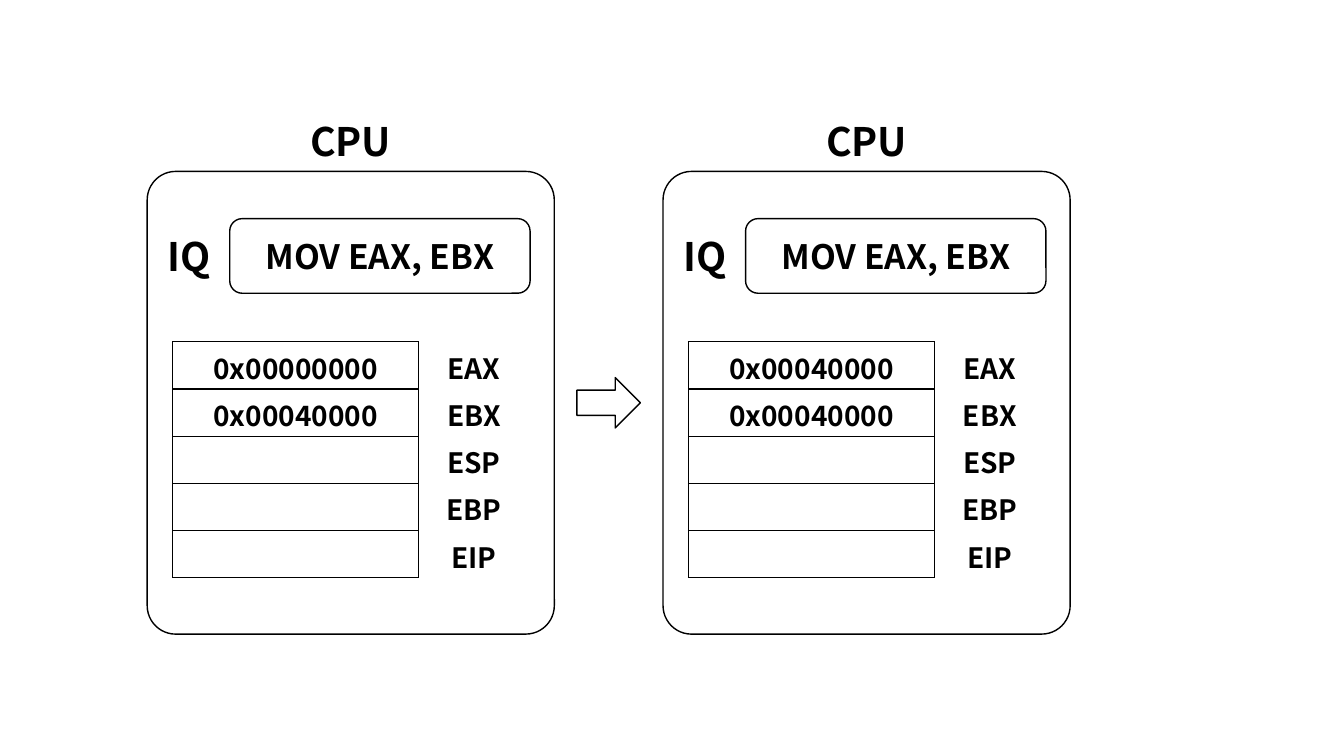
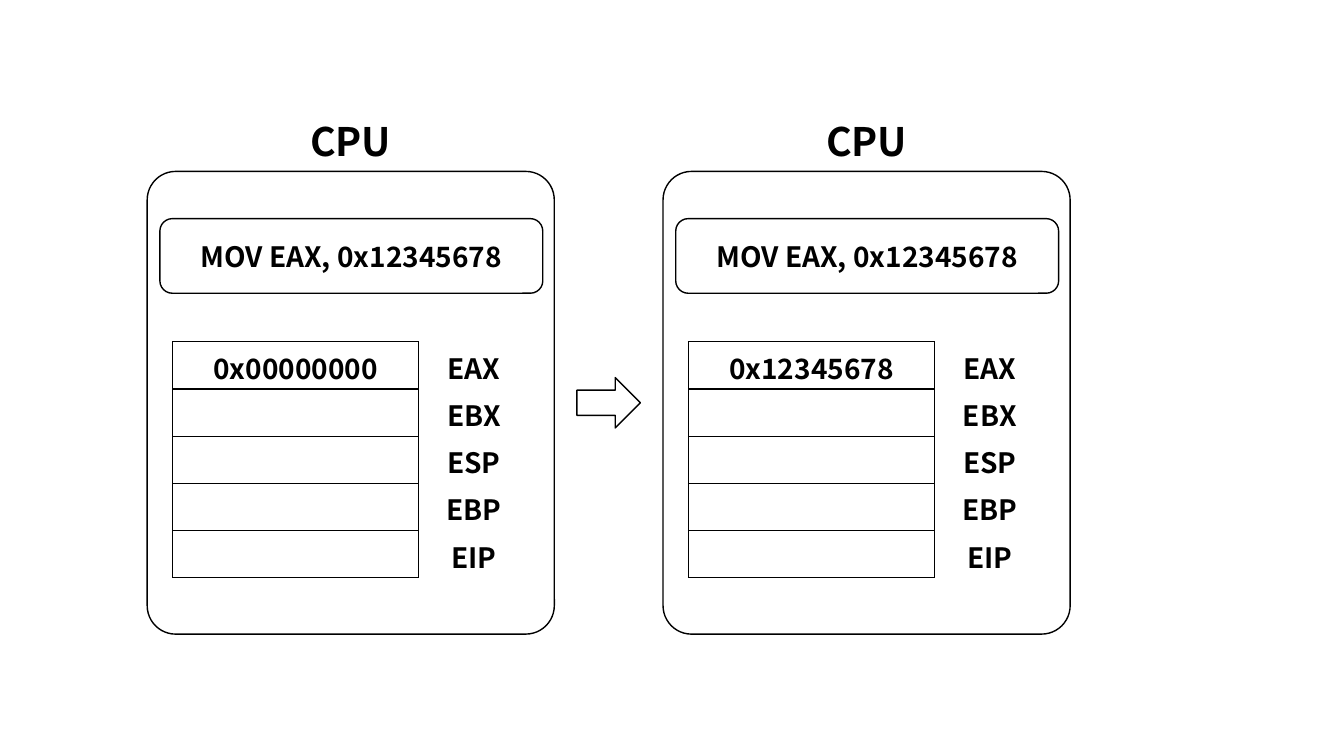
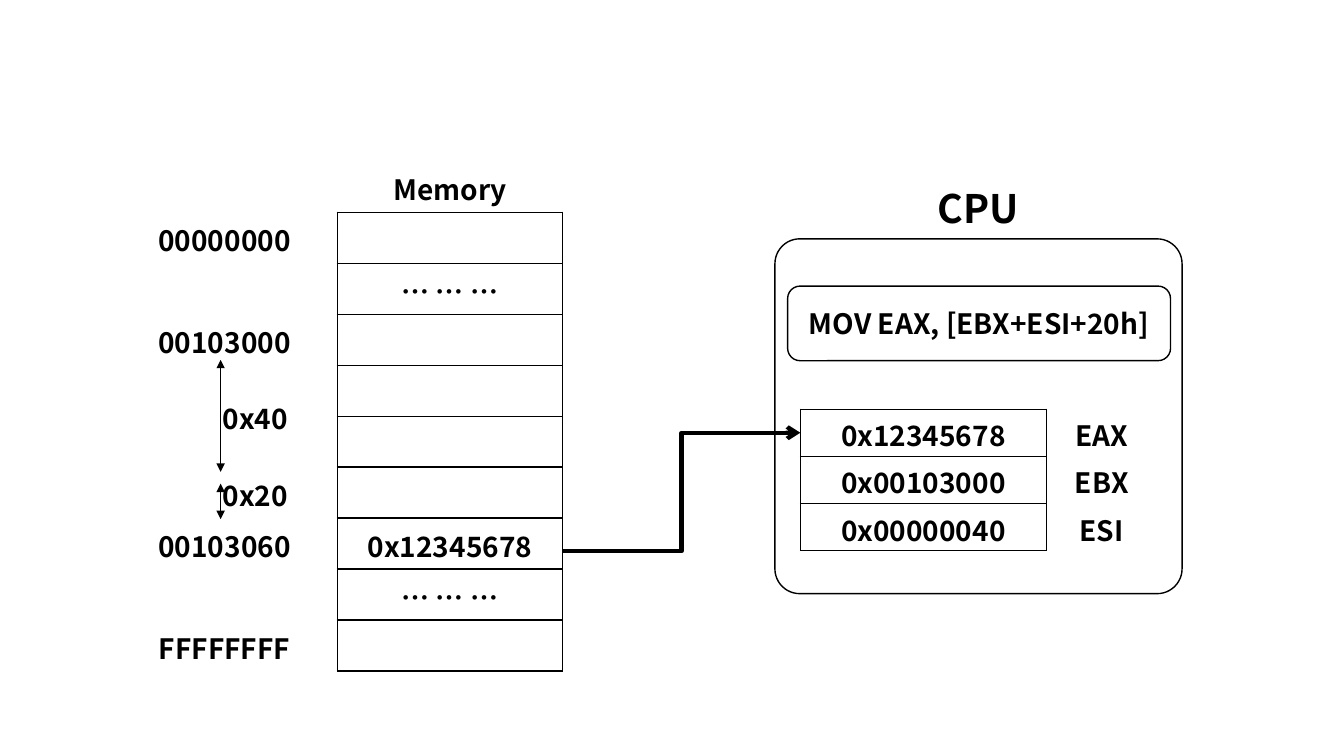
import dataclasses
import lxml.etree
import pptx
import pptx.dml.color
import pptx.enum.shapes
import pptx.enum.text
import pptx.oxml.ns
import pptx.util
from pptx.util import Cm, Pt

SHAPE = pptx.enum.shapes.MSO_SHAPE
CONNECTOR = pptx.enum.shapes.MSO_CONNECTOR
ALIGN = pptx.enum.text.PP_ALIGN
ANCHOR = pptx.enum.text.MSO_ANCHOR
qn = pptx.oxml.ns.qn


@dataclasses.dataclass(frozen=True)
class Theme:
    ink: pptx.dml.color.RGBColor = pptx.dml.color.RGBColor(0, 0, 0)
    paper: pptx.dml.color.RGBColor = pptx.dml.color.RGBColor(255, 255, 255)
    font: str = "Noto Sans CJK KR"
    caption: int = Pt(28)
    instruction: int = Pt(24)
    body: int = Pt(20)
    thin: int = Pt(1)
    thick: int = Pt(3)


THEME = Theme()
REGISTERS = ["EAX", "EBX", "ESP", "EBP", "EIP"]
ELLIPSIS = "… … …"

# Panel geometry, relative to the panel's top left corner
PANEL_WIDTH = Cm(10.26)
REGISTERS_LEFT, REGISTERS_TOP = Cm(0.64), Cm(4.29)
REGISTER_ROW = Cm(1.19)


# Text and outlines
def write(frame, text, size):
    paragraph = frame.paragraphs[0]
    paragraph.text = text
    paragraph.alignment = ALIGN.CENTER
    font = paragraph.font
    font.size, font.bold, font.name = size, True, THEME.font
    font.color.rgb = THEME.ink
    defaults = paragraph._p.pPr.find(qn("a:defRPr"))
    lxml.etree.SubElement(defaults, qn("a:ea"), typeface=THEME.font)


def add_label(slide, left, top, width, text):
    frame = slide.shapes.add_textbox(left, top, width, Cm(1.45)).text_frame
    frame.word_wrap = True
    frame.vertical_anchor = ANCHOR.MIDDLE
    write(frame, text, THEME.caption)


def add_outline(slide, kind, left, top, width, height):
    outline = slide.shapes.add_shape(kind, left, top, width, height)
    outline.shadow.inherit = False
    outline.fill.solid()
    outline.fill.fore_color.rgb = THEME.paper
    outline.line.color.rgb = THEME.ink
    outline.line.width = THEME.thin
    return outline


def add_arrow(slide, kind, start, end, width, **heads):
    arrow = slide.shapes.add_connector(kind, *start, *end)
    arrow.line.color.rgb = THEME.ink
    arrow.line.width = width
    line = arrow.line._get_or_add_ln()
    for name in ("headEnd", "tailEnd"):
        if name in heads:
            lxml.etree.SubElement(line, qn(f"a:{name}"), type=heads[name])
    lxml.etree.SubElement(arrow._element.spPr, qn("a:effectLst"))


# Tables: an edge is drawn when a boxed cell lies on either side of it
def set_border(cell, side, drawn):
    edge = lxml.etree.SubElement(cell._tc.get_or_add_tcPr(), qn(f"a:ln{side}"),
                                 w=str(THEME.thin))
    if drawn:
        fill = lxml.etree.SubElement(edge, qn("a:solidFill"))
        lxml.etree.SubElement(fill, qn("a:srgbClr"), val=str(THEME.ink))
    else:
        lxml.etree.SubElement(edge, qn("a:noFill"))


def add_grid(slide, left, top, widths, row_height, rows, boxed):
    table = slide.shapes.add_table(len(rows), len(widths), left, top,
                                   sum(widths), row_height * len(rows)).table
    table.first_row = table.horz_banding = False
    for column, width in zip(table.columns, widths):
        column.width = width
    for r, texts in enumerate(rows):
        table.rows[r].height = row_height
        for c, text in enumerate(texts):
            cell = table.cell(r, c)
            neighbours = {"L": (r, c - 1), "R": (r, c + 1),
                          "T": (r - 1, c), "B": (r + 1, c)}
            for side, place in neighbours.items():
                set_border(cell, side, (r, c) in boxed or place in boxed)
            cell.fill.background()
            cell.vertical_anchor = ANCHOR.MIDDLE
            cell.margin_top, cell.margin_bottom = Cm(0.1), Cm(0.02)
            if text:
                write(cell.text_frame, text, THEME.body)
    return table


# CPU panel: caption, instruction and registers
def add_cpu(slide, left, top, height, instruction, registers, queue=False):
    panel = add_outline(slide, SHAPE.ROUNDED_RECTANGLE, left, top,
                        PANEL_WIDTH, height)
    panel.adjustments[0] = 0.07
    add_label(slide, left, top - Cm(1.5), PANEL_WIDTH, "CPU")

    inset, width, size = ((Cm(2.08), Cm(7.57), THEME.instruction) if queue
                          else (Cm(0.32), Cm(9.65), THEME.body))
    command = add_outline(slide, SHAPE.ROUNDED_RECTANGLE, left + inset,
                          top + Cm(1.19), width, Cm(1.88))
    command.text_frame.vertical_anchor = ANCHOR.MIDDLE
    write(command.text_frame, instruction, size)
    if queue:
        add_label(slide, left - Cm(0.41), top + Cm(1.4), Cm(2.92), "IQ")

    add_grid(slide, left + REGISTERS_LEFT, top + REGISTERS_TOP,
             [Cm(6.2), Cm(2.79)], REGISTER_ROW, registers,
             {(r, 0) for r in range(len(registers))})


# Slide type: CPU before and after one instruction
def add_step_slide(deck, instruction, before, after, queue=False):
    slide = deck.slides.add_slide(deck.slide_layouts[6])
    left, top, height, pitch = Cm(3.71), Cm(4.32), Cm(11.66), Cm(13)
    for i, values in enumerate((before, after)):
        padded = values + [""] * (len(REGISTERS) - len(values))
        add_cpu(slide, left + i * pitch, top, height, instruction,
                list(zip(padded, REGISTERS)), queue)
    # Arrow centred in the gap between the panels
    width, depth = Cm(1.6), Cm(1.27)
    add_outline(slide, SHAPE.RIGHT_ARROW,
                left + (PANEL_WIDTH + pitch - width) // 2,
                top + (height - depth) // 2, width, depth)


# Memory map with its address offsets
def add_memory(slide, left, top, column, row):
    rows = [("", "Memory"), ("00000000", ""), ("", ELLIPSIS),
            ("00103000", ""), ("0x40", ""), ("", ""), ("0x20", ""),
            ("00103060", "0x12345678"), ("", ELLIPSIS), ("FFFFFFFF", "")]
    table = add_grid(slide, left, top, [column, column], row, rows,
                     {(r, 1) for r in range(1, len(rows))})
    table.cell(4, 0).merge(table.cell(5, 0))
    for r in (4, 6):
        table.cell(r, 0).margin_left = Cm(1.8)


def add_memory_slide(deck):
    slide = deck.slides.add_slide(deck.slide_layouts[6])
    left, top, column, row = Cm(2.82), Cm(4.06), Cm(5.68), Cm(1.285)
    cpu_left, cpu_top = Cm(19.53), Cm(6.02)
    add_memory(slide, left, top, column, row)
    add_cpu(slide, cpu_left, cpu_top, Cm(8.94), "MOV EAX, [EBX+ESI+20h]",
            [("0x12345678", "EAX"), ("0x00103000", "EBX"),
             ("0x00000040", "ESI")])
    # Load from memory into EAX
    add_arrow(slide, CONNECTOR.ELBOW,
              (left + 2 * column, top + int(row * 7.65)),
              (cpu_left + REGISTERS_LEFT,
               cpu_top + REGISTERS_TOP + REGISTER_ROW // 2),
              THEME.thick, tailEnd="arrow")
    # Offset ranges
    x = left + Cm(2.74)
    for start, end in ((5.01, 7.83), (8.13, 9.02)):
        add_arrow(slide, CONNECTOR.STRAIGHT, (x, top + Cm(start)),
                  (x, top + Cm(end)), THEME.thin,
                  headEnd="triangle", tailEnd="triangle")


deck = pptx.Presentation()
deck.slide_width, deck.slide_height = Cm(33.87), Cm(19.05)
add_step_slide(deck, "MOV EAX, EBX", ["0x00000000", "0x00040000"],
               ["0x00040000", "0x00040000"], queue=True)
add_step_slide(deck, "MOV EAX, 0x12345678", ["0x00000000"], ["0x12345678"])
add_memory_slide(deck)
deck.save("out.pptx")
